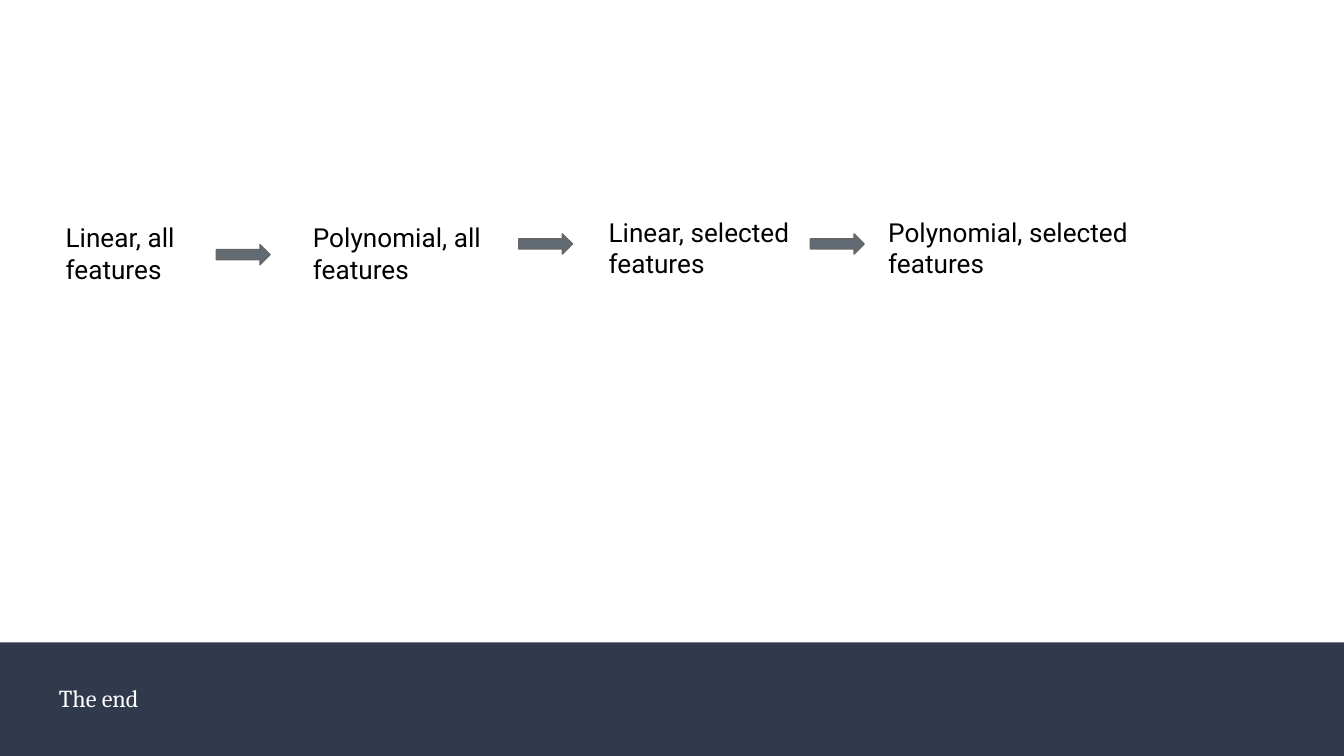
from pptx import Presentation
from pptx.dml.color import RGBColor
from pptx.enum.shapes import MSO_SHAPE
from pptx.enum.text import MSO_ANCHOR
from pptx.util import Inches, Pt

NAVY = RGBColor(0x31, 0x39, 0x4D)
GRAY = RGBColor(0x62, 0x6B, 0x73)
OUTLINE = RGBColor(0x66, 0x66, 0x66)
BLACK = RGBColor(0, 0, 0)
WHITE = RGBColor(0xFF, 0xFF, 0xFF)

# Steps: text, left, top, width
STEPS = [
    ("Linear, all features", 0.39, 1.55, 1.1),
    ("Polynomial, all features", 2.23, 1.55, 1.6),
    ("Linear, selected features", 4.43, 1.51, 1.81),
    ("Polynomial, selected features", 6.51, 1.51, 1.99),
]
STEP_HEIGHT = 0.67
# Arrows between steps: left, top
ARROWS = [(1.61, 1.82), (3.86, 1.74), (6.03, 1.74)]
ARROW_SIZE = (0.4, 0.15)
FOOTER = "The end"


def add_shape(slide, kind, left, top, width, height, fill, line=None):
    s = slide.shapes.add_shape(kind, Inches(left), Inches(top),
                               Inches(width), Inches(height))
    s.shadow.inherit = False
    s.fill.solid()
    s.fill.fore_color.rgb = fill
    if line is None:
        s.line.fill.background()
    else:
        s.line.color.rgb = line
        s.line.width = Pt(0.75)


def add_text(slide, text, left, top, width, height, font, size, color,
             anchor=MSO_ANCHOR.TOP):
    tf = slide.shapes.add_textbox(Inches(left), Inches(top), Inches(width),
                                  Inches(height)).text_frame
    tf.word_wrap = True
    tf.vertical_anchor = anchor
    tf.margin_left = tf.margin_right = Inches(0.1)
    tf.margin_top = tf.margin_bottom = Inches(0.1)
    r = tf.paragraphs[0].add_run()
    r.text = text
    r.font.name = font
    r.font.size = Pt(size)
    r.font.color.rgb = color


prs = Presentation()
prs.slide_width, prs.slide_height = Inches(10), Inches(5.625)
slide = prs.slides.add_slide(prs.slide_layouts[6])

# Footer band
add_shape(slide, MSO_SHAPE.RECTANGLE, 0, 4.78, 10, 0.85, NAVY)
add_text(slide, FOOTER, 0.34, 4.94, 8.73, 0.5, "Cambria", 13, WHITE,
         MSO_ANCHOR.MIDDLE)

# Model steps
for text, left, top, width in STEPS:
    add_text(slide, text, left, top, width, STEP_HEIGHT, "Roboto", 14, BLACK)

# Arrows
for left, top in ARROWS:
    add_shape(slide, MSO_SHAPE.RIGHT_ARROW, left, top, *ARROW_SIZE, GRAY, OUTLINE)

prs.save("out.pptx")
